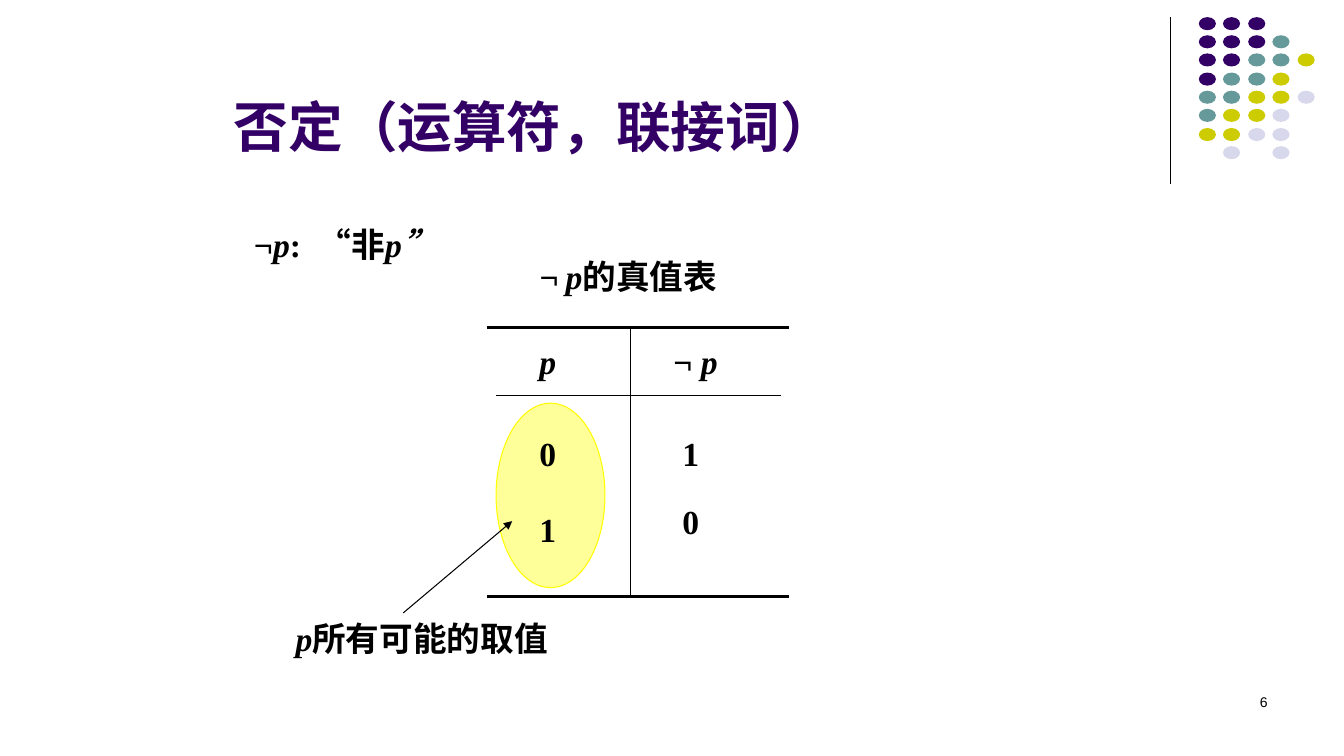
from dataclasses import dataclass

from pptx import Presentation
from pptx.dml.color import RGBColor
from pptx.enum.lang import MSO_LANGUAGE_ID as Language
from pptx.enum.shapes import MSO_CONNECTOR as Connector, MSO_SHAPE as Shape
from pptx.enum.text import MSO_ANCHOR as Anchor, MSO_AUTO_SIZE as AutoSize, PP_ALIGN as Align
from pptx.oxml.ns import qn
from pptx.util import Emu, Pt

EMU_PER_PX = 9144  # 100 px to the inch


def px(length):
    return Emu(length * EMU_PER_PX)


@dataclass(frozen=True)
class Theme:
    ink: str = "000000"
    purple: str = "330066"
    teal: str = "669999"
    olive: str = "CCCC00"
    lavender: str = "D8D8EC"
    highlight: str = "FFFF99"
    highlight_edge: str = "FFFF00"
    sans: str = "Arial"
    serif: str = "Times New Roman"
    chinese: str = "Noto Sans CJK SC"
    title_size: int = 39
    body_size: int = 24
    gap_size: int = 20
    number_size: int = 10
    thin: float = 0.75
    thick: float = 2.25


class SlideBuilder:
    def __init__(self, slide, theme):
        self.slide = slide
        self.theme = theme

    def style_run(self, run, size, font, color, bold=True, italic=False):
        run.font.size = Pt(size)
        run.font.name = font
        run.font.bold = bold
        run.font.italic = italic
        run.font.color.rgb = RGBColor.from_string(color)
        run.font.language_id = Language.SIMPLIFIED_CHINESE
        latin = run.font._element.find(qn("a:latin"))
        east_asian = latin.makeelement(qn("a:ea"), {"typeface": self.theme.chinese})
        latin.addnext(east_asian)

    def title(self, text, left, top, width, height):
        shape = self.slide.shapes.title
        shape.left, shape.top, shape.width, shape.height = map(px, (left, top, width, height))
        frame = shape.text_frame
        frame.text = text
        frame.word_wrap = True
        frame.auto_size = AutoSize.NONE
        frame.vertical_anchor = Anchor.BOTTOM
        paragraph = frame.paragraphs[0]
        paragraph.alignment = Align.JUSTIFY
        self.style_run(paragraph.runs[0], self.theme.title_size, self.theme.sans, self.theme.purple)

    def text_frame(self, left, top, width):
        box = self.slide.shapes.add_textbox(px(left), px(top), px(width), px(50))
        box.text_frame.word_wrap = True
        return box.text_frame

    def formula(self, parts, left, top, width):
        """Each part is (text, italic) or (text, italic, size)."""
        frame = self.text_frame(left, top, width)
        frame.auto_size = AutoSize.SHAPE_TO_FIT_TEXT
        for text, italic, *size in parts:
            run = frame.paragraphs[0].add_run()
            run.text = text
            self.style_run(run, size[0] if size else self.theme.body_size,
                           self.theme.serif, self.theme.ink, italic=italic)

    def slide_number(self, text, left, top, width):
        frame = self.text_frame(left, top, width)
        frame.text = text
        paragraph = frame.paragraphs[0]
        paragraph.alignment = Align.RIGHT
        self.style_run(paragraph.runs[0], self.theme.number_size, self.theme.sans,
                       self.theme.ink, bold=False)

    def ellipse(self, left, top, width, height, fill, edge=None):
        shape = self.slide.shapes.add_shape(Shape.OVAL, px(left), px(top), px(width), px(height))
        shape.shadow.inherit = False
        shape.fill.solid()
        shape.fill.fore_color.rgb = RGBColor.from_string(fill)
        if edge:
            shape.line.color.rgb = RGBColor.from_string(edge)
            shape.line.width = Pt(self.theme.thin)
        else:
            shape.line.fill.background()

    def line(self, x1, y1, x2, y2, weight, arrow=False):
        connector = self.slide.shapes.add_connector(
            Connector.STRAIGHT, px(x1), px(y1), px(x2), px(y2))
        connector.line.color.rgb = RGBColor.from_string(self.theme.ink)
        connector.line.width = Pt(weight)
        properties = connector._element.spPr
        properties.append(properties.makeelement(qn("a:effectLst"), {}))
        if arrow:
            outline = connector.line._get_or_add_ln()
            outline.append(outline.makeelement(qn("a:tailEnd"), {"type": "triangle"}))


def main():
    theme = Theme()
    presentation = Presentation()
    presentation.slide_width, presentation.slide_height = px(1333), px(750)
    slide = presentation.slides.add_slide(presentation.slide_layouts[5])
    builder = SlideBuilder(slide, theme)

    # Corner decoration: a rule and a grid of dots
    builder.line(1161, 17, 1161, 183, theme.thin)
    dot_colors = {"P": theme.purple, "T": theme.teal, "O": theme.olive, "L": theme.lavender}
    dot_rows = ("PPP", "PPPT", "PPTTO", "PTTO", "TTOOL", "TOOL", "OOLL", " L L")
    for row, codes in enumerate(dot_rows):
        for column, code in enumerate(codes):
            if code in dot_colors:
                builder.ellipse(1189 + column * 49 // 2, 17 + row * 55 // 3, 17, 13,
                                dot_colors[code])

    # Title and definition
    builder.title("否定（运算符，联接词）", 222, 79, 945, 83)
    builder.formula([("¬", False), ("p", True), (":  “非", False), ("p”", True)], 242, 217, 517)

    # Truth table: highlight, rules and entries
    builder.ellipse(492, 400, 108, 183, theme.highlight, theme.highlight_edge)
    for y in (325, 592):
        builder.line(483, y, 783, y, theme.thick)
    builder.line(625, 325, 625, 592, theme.thin)
    builder.line(492, 392, 775, 392, theme.thin)
    builder.formula([("p", True)], 525, 333, 75)
    builder.formula([("¬ ", False), ("p", True)], 658, 333, 125)
    for digit, left, top in (("0", 525, 425), ("1", 525, 500), ("1", 667, 425), ("0", 667, 492)):
        builder.formula([(digit, False)], left, top, 75)

    # Captions and pointer
    builder.formula([(" ", True), ("¬", False), (" ", True, theme.gap_size), ("p", True),
                     ("的真值表", False)], 517, 249, 324)
    builder.formula([(" ", False), ("p", True), ("所有可能的取值", False)], 275, 608, 350)
    builder.line(400, 608, 508, 517, theme.thin, arrow=True)

    builder.slide_number("6", 956, 683, 311)
    presentation.save("out.pptx")


if __name__ == "__main__":
    main()
